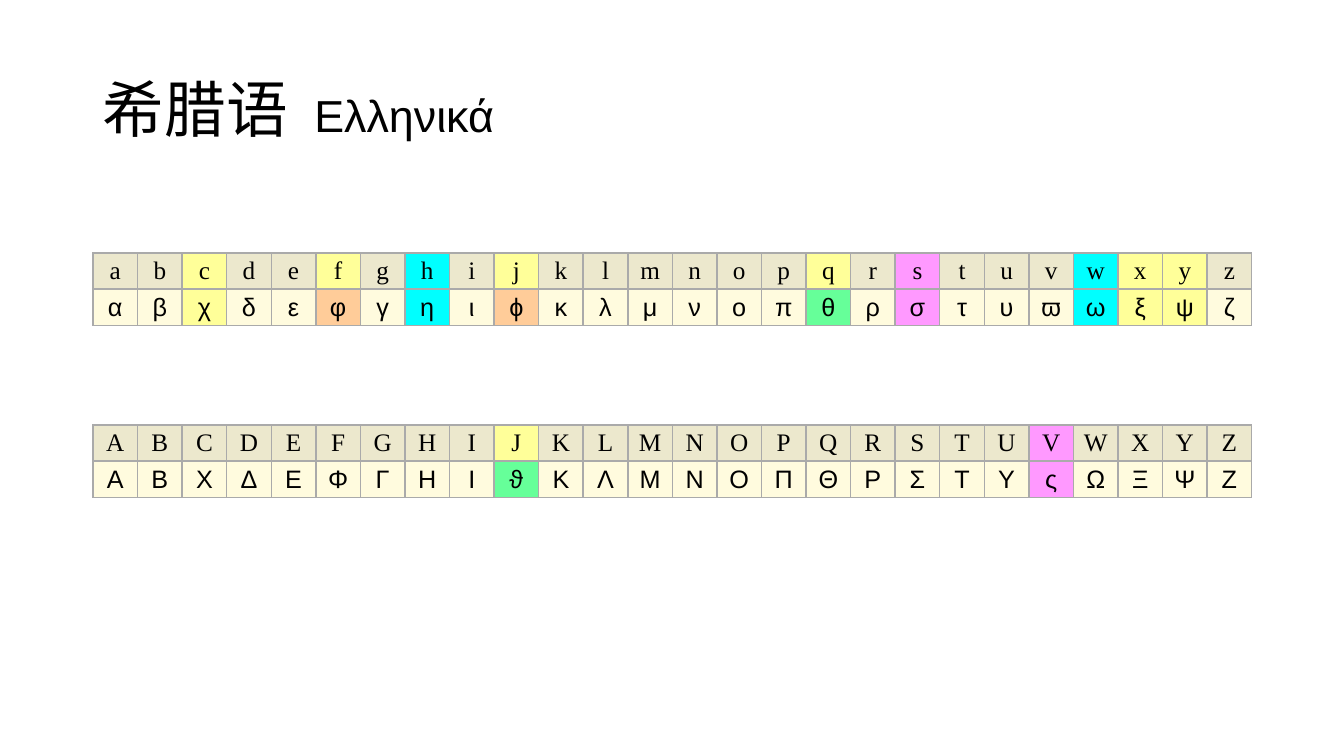
from lxml.etree import SubElement
from pptx import Presentation
from pptx.dml.color import RGBColor
from pptx.enum.text import MSO_ANCHOR, PP_ALIGN
from pptx.oxml.ns import qn
from pptx.util import Emu, Pt

COLORS = {
    "text": "000000",
    "border": "AAAAAA",
    "latin": "ECE8CD",
    "greek": "FFFBDE",
    "yellow": "FFFF99",
    "cyan": "00FFFF",
    "pink": "FF99FF",
    "orange": "FFCC99",
    "green": "66FF99",
}
SERIF, SANS, CHINESE = "Times New Roman", "Arial", "Noto Sans CJK SC"

LOWERCASE = [
    ("abcdefghijklmnopqrstuvwxyz", SERIF, "latin",
     {"yellow": "cfjqxy", "cyan": "hw", "pink": "s"}),
    ("αβχδεφγηιϕκλμνοπθρστυϖωξψζ", SANS, "greek",
     {"yellow": "χξψ", "cyan": "ηω", "pink": "σ", "orange": "φϕ", "green": "θ"}),
]
UPPERCASE = [
    ("ABCDEFGHIJKLMNOPQRSTUVWXYZ", SERIF, "latin",
     {"yellow": "J", "pink": "V"}),
    ("ΑΒΧΔΕΦΓΗΙϑΚΛΜΝΟΠΘΡΣΤΥςΩΞΨΖ", SANS, "greek",
     {"green": "ϑ", "pink": "ς"}),
]


class AlphabetSlide:
    letter_size = 18
    row_height = 36
    inset = 3
    border_width = 1.2

    def __init__(self, deck):
        self.page = deck.slides.add_slide(deck.slide_layouts[6])

    @staticmethod
    def px(length):
        return Emu(round(length * 914400 / 100.8))

    @staticmethod
    def color(name):
        return RGBColor.from_string(COLORS[name])

    def span(self, para, text, size, font, spacing=0):
        span = para.add_run()
        span.text = text
        span.font.size = Pt(size)
        span.font.name = font
        span.font.color.rgb = self.color("text")
        properties = span.font._element
        SubElement(properties, qn("a:ea"), typeface=font)
        if spacing:
            properties.set("spc", str(spacing * 100))

    def title(self, left, top, width, height, spans):
        box = self.page.shapes.add_textbox(*map(self.px, (left, top, width, height)))
        frame = box.text_frame
        frame.word_wrap = True
        frame.vertical_anchor = MSO_ANCHOR.MIDDLE
        para = frame.paragraphs[0]
        para.line_spacing = 0.9
        for span in spans:
            self.span(para, *span)

    def borders(self, cell):
        properties = cell._tc.get_or_add_tcPr()
        for side in ("lnL", "lnR", "lnT", "lnB"):
            line = SubElement(properties, qn(f"a:{side}"), w=str(Pt(self.border_width)))
            fill = SubElement(line, qn("a:solidFill"))
            SubElement(fill, qn("a:srgbClr"), val=COLORS["border"])

    def letter(self, cell, text, font, fill):
        cell.margin_left = cell.margin_right = self.px(self.inset)
        cell.margin_top = cell.margin_bottom = self.px(self.inset)
        cell.vertical_anchor = MSO_ANCHOR.MIDDLE
        self.borders(cell)
        cell.fill.solid()
        cell.fill.fore_color.rgb = self.color(fill)
        para = cell.text_frame.paragraphs[0]
        para.alignment = PP_ALIGN.CENTER
        self.span(para, text, self.letter_size, font)

    def alphabet(self, left, top, width, rows):
        count = len(rows[0][0])
        bounds = map(self.px, (left, top, width, self.row_height * len(rows)))
        table = self.page.shapes.add_table(len(rows), count, *bounds).table
        table.first_row = table.horz_banding = False
        for column in table.columns:
            column.width = self.px(width / count)
        for index, (letters, font, base, highlights) in enumerate(rows):
            table.rows[index].height = self.px(self.row_height)
            fills = {char: name for name, chars in highlights.items() for char in chars}
            for position, char in enumerate(letters):
                self.letter(table.cell(index, position), char, font, fills.get(char, base))


def main():
    deck = Presentation()
    deck.slide_width = AlphabetSlide.px(1344)
    deck.slide_height = AlphabetSlide.px(756)
    slide = AlphabetSlide(deck)
    slide.title(93, 40, 1159, 146, [
        ("希腊语", 44, CHINESE),
        (" ", 44, CHINESE, 9),
        ("Ελληνικά", 32, SANS),
    ])
    for top, rows in ((253, LOWERCASE), (425, UPPERCASE)):
        slide.alphabet(93, top, 1159, rows)
    deck.save("out.pptx")


if __name__ == "__main__":
    main()
